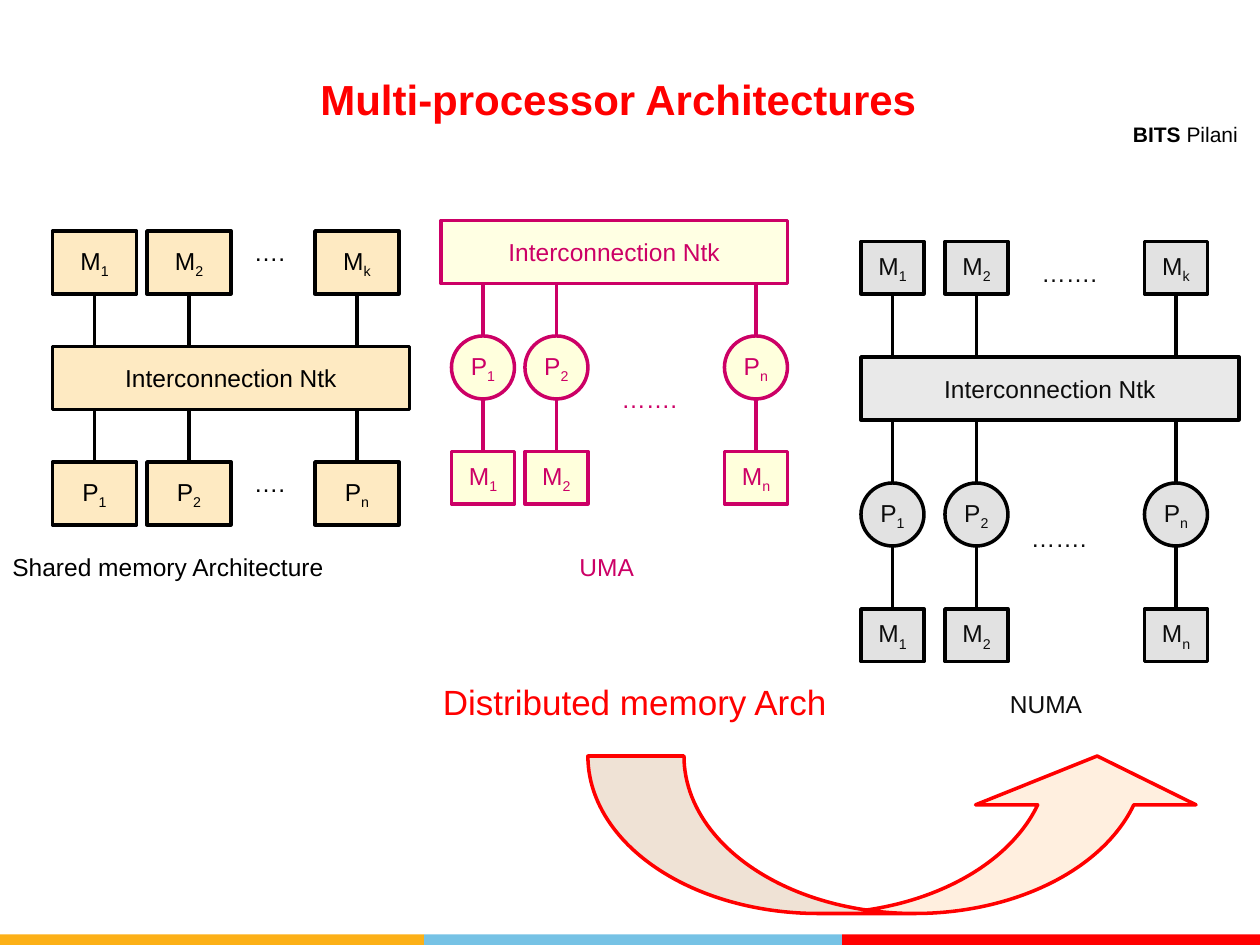
from pptx import Presentation, util as u
from pptx.dml.color import RGBColor
from pptx.enum import shapes as s, text as t
from pptx.oxml.ns import qn
from lxml import etree

PX = 7620  # EMU per px: 120 px to the inch
RECT, OVAL = s.MSO_SHAPE.RECTANGLE, s.MSO_SHAPE.OVAL
BUS = "Interconnection Ntk"

# Tiers run top down: (letter, last index, shape, top, height, opacity %)
PANELS = [
    dict(ink="000000", font="000000", fill="FCB017", bus=(50, 340),
         mids=(90, 180, 340), wide=80,
         tiers=[("M", "k", RECT, 220, 60, 26),
                (BUS, None, RECT, 330, 60, 26),
                ("P", "n", RECT, 440, 60, 26)],
         dots=[("….", 230, 220, 70), ("….", 230, 440, 70)]),
    dict(ink="CC0066", font="CC0066", fill="FFFF99", bus=(420, 330),
         mids=(460, 530, 720), wide=60,
         tiers=[(BUS, None, RECT, 210, 60, 27),
                ("P", "n", OVAL, 320, 60, 33),
                ("M", "n", RECT, 430, 50, 34)],
         dots=[("…….", 580, 360, 100)]),
    dict(ink="000000", font="0D0D0D", fill="C0C0C0", bus=(820, 360),
         mids=(850, 930, 1120), wide=60,
         tiers=[("M", "k", RECT, 230, 50, 45),
                (BUS, None, RECT, 340, 60, 34),
                ("P", "n", OVAL, 460, 60, 46),
                ("M", "n", RECT, 580, 50, 45)],
         dots=[("…….", 980, 240, 100), ("…….", 970, 492, 100)]),
]
# text, left, top, width, height, size, colour
NOTES = [
    ("Shared memory Architecture", 0, 520, 490, 48, 14, "000000"),
    ("UMA", 540, 520, 100, 48, 14, "CC0066"),
    ("NUMA", 950, 650, 170, 41, 14, "0D0D0D"),
    ("Distributed memory Arch", 410, 642, 490, 52, 20, "FF0000"),
]
BANDS = [("FCB017", 0, 404), ("76C2E5", 404, 802), ("FF0000", 802, 1200)]
BAND_TOP, BAND_HIGH = 890, 10


def rgb(code):
    return RGBColor.from_string(code)


def box(*sides):
    return [u.Emu(n * PX) for n in sides]


def write(frame, runs, size, color, align=t.PP_ALIGN.LEFT):
    """Fill the first paragraph; each run is (text, bold, subscript)."""
    para = frame.paragraphs[0]
    para.alignment = align
    for words, bold, sub in runs:
        run = para.add_run()
        run.text = words
        font = run.font
        font.name, font.size, font.bold = "Arial", u.Pt(size), bold
        font.color.rgb = rgb(color)
        if sub:
            run._r.get_or_add_rPr().set("baseline", "-25000")


def label(host, runs, area, size, color, align=t.PP_ALIGN.LEFT):
    frame = host.add_textbox(*box(*area)).text_frame
    frame.word_wrap = True
    write(frame, runs, size, color, align)
    return frame


def block(host, kind, area, fill, alpha=100, ink=None):
    shape = host.add_shape(kind, *box(*area))
    shape.shadow.inherit = False
    shape.fill.solid()
    shape.fill.fore_color.rgb = rgb(fill)
    if alpha < 100:
        tint = shape.fill._xPr.find(".//" + qn("a:srgbClr"))
        etree.SubElement(tint, qn("a:alpha")).set("val", str(alpha * 1000))
    if ink:
        shape.line.color.rgb = rgb(ink)
        shape.line.width = u.Pt(2)
    else:
        shape.line.fill.background()
    return shape


def link(host, x, top, end, ink):
    line = host.add_connector(s.MSO_CONNECTOR.STRAIGHT, *box(x, top, x, end))
    line.line.color.rgb = rgb(ink)
    line.line.width = u.Pt(2)
    etree.SubElement(line._element.spPr, qn("a:effectLst"))


def node(host, panel, kind, area, alpha, runs):
    shape = block(host, kind, area, panel["fill"], alpha, panel["ink"])
    frame = shape.text_frame
    frame.word_wrap = False
    frame.vertical_anchor = t.MSO_ANCHOR.MIDDLE
    write(frame, runs, 14, panel["font"], t.PP_ALIGN.CENTER)


def draw(host, panel):
    tiers, mids, wide = panel["tiers"], panel["mids"], panel["wide"]
    for name, last, kind, top, high, alpha in tiers:
        if name == BUS:
            left, span = panel["bus"]
            node(host, panel, kind, (left, top, span, high), alpha,
                 [(name, False, False)])
            continue
        for mid, index in zip(mids, ("1", "2", last)):
            node(host, panel, kind, (mid - wide // 2, top, wide, high), alpha,
                 [(name, False, False), (index, False, True)])
    for upper, lower in zip(tiers, tiers[1:]):
        for mid in mids:
            link(host, mid, upper[3] + upper[4], lower[3], panel["ink"])
    for dots, left, top, span in panel["dots"]:
        label(host, [(dots, False, False)], (left, top, span, 48), 14,
              panel["font"])


def main():
    deck = Presentation()
    deck.slide_width, deck.slide_height = box(1200, 900)
    slide = deck.slides.add_slide(deck.slide_layouts[6])
    root = slide.shapes

    footer = root.add_group_shape().shapes
    for color, left, end in BANDS:
        block(footer, RECT, (left, BAND_TOP, end - left, BAND_HIGH), color)

    label(root, [("BITS", True, False), (" Pilani", False, False)],
          (1062, 110, 134, 35), 12, "000000", t.PP_ALIGN.CENTER)
    title = label(root, [("Multi-processor Architectures", True, False)],
                  (60, 24, 1090, 106), 24, "FF0000", t.PP_ALIGN.CENTER)
    title.margin_top, title.margin_right = box(46, 44)

    for panel in PANELS:
        draw(root.add_group_shape().shapes, panel)

    arrow = block(root, s.MSO_SHAPE.CURVED_UP_ARROW, (560, 720, 590, 150),
                  "FFCC99", 31, "FF0000")
    for i, value in enumerate((0.61, 1.4, 0.31)):
        arrow.adjustments[i] = value

    for words, left, top, span, high, size, color in NOTES:
        label(root, [(words, False, False)], (left, top, span, high), size,
              color)

    deck.save("out.pptx")


if __name__ == "__main__":
    main()
